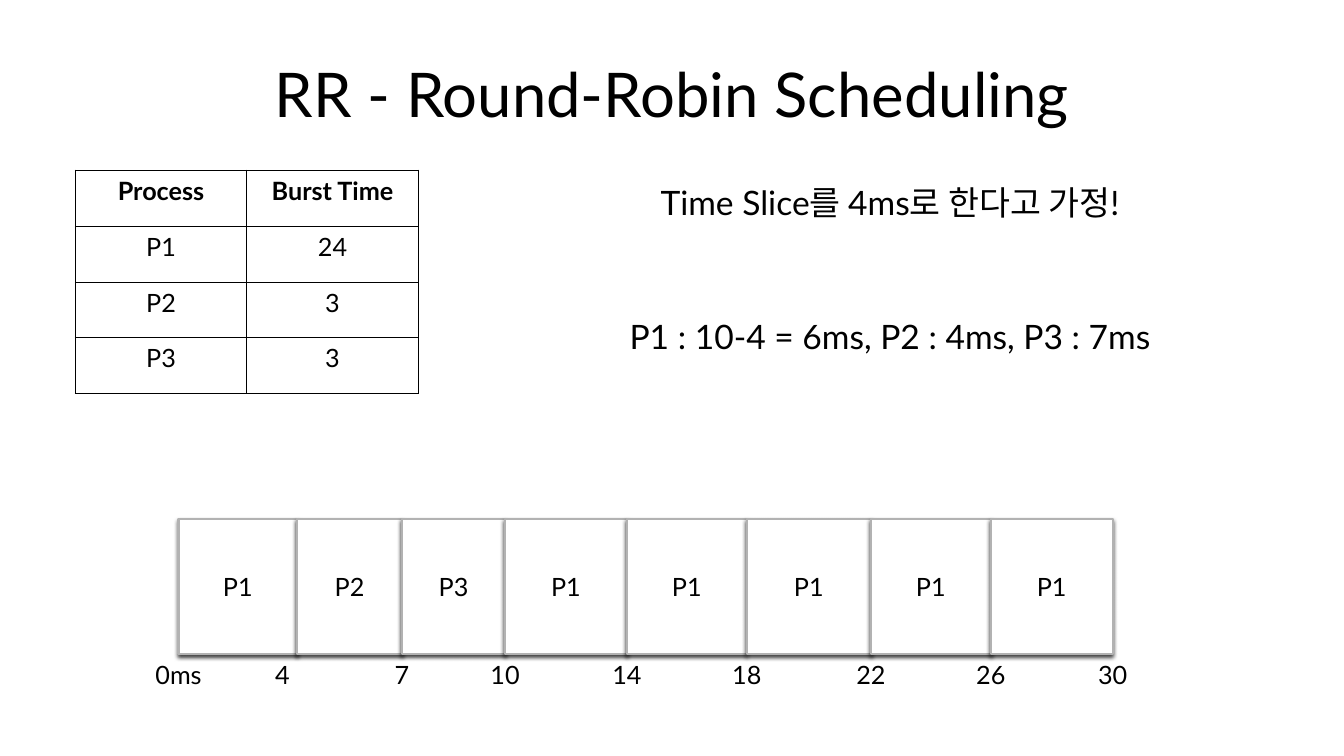
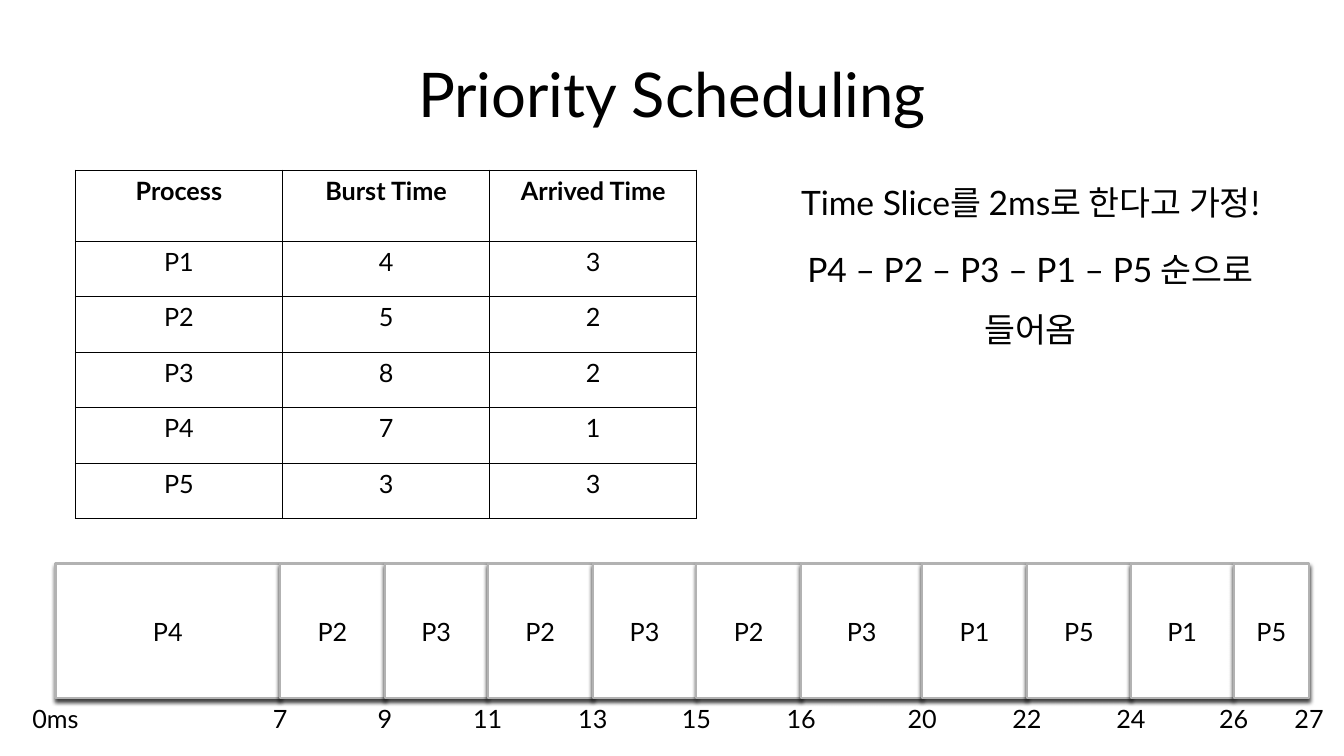
"""Build two slides on CPU scheduling, each with a process table and a timeline."""
from itertools import pairwise

from lxml import etree
from pptx import Presentation
from pptx.dml.color import RGBColor
from pptx.enum.shapes import MSO_SHAPE
from pptx.enum.text import MSO_ANCHOR, PP_ALIGN
from pptx.oxml import parse_xml
from pptx.util import Cm, Pt

RECTANGLE = MSO_SHAPE.RECTANGLE
CENTER = PP_ALIGN.CENTER
MIDDLE = MSO_ANCHOR.MIDDLE
TOP = MSO_ANCHOR.TOP

FONT = "Lato"
BLACK, WHITE, GRAY = "000000", "FFFFFF", "B2B2B2"
DRAWING = "http://schemas.openxmlformats.org/drawingml/2006/main"
SHADOW = (
    f'<a:outerShdw xmlns:a="{DRAWING}" blurRad="38100" dist="25400" dir="5400000" '
    f'rotWithShape="0"><a:srgbClr val="{BLACK}"><a:alpha val="75000"/></a:srgbClr>'
    "</a:outerShdw>"
)
BORDER = (
    '<a:{side} xmlns:a="{drawing}" w="12700"><a:solidFill><a:srgbClr val="{color}"/>'
    "</a:solidFill></a:{side}>"
)
BLOCK_HEIGHT = 3.4
LABEL_WIDTH, LABEL_HEIGHT = 1.7, 1.02

SLIDES = [
    {
        "title": "RR - Round-Robin Scheduling",
        "notes": ["Time Slice를 4ms로 한다고 가정!", "P1 : 10-4 = 6ms, P2 : 4ms, P3 : 7ms"],
        "notes_left": 12.12,
        "notes_width": 20.62,
        "notes_gap": 52.8,
        "rows": [
            ["Process", "Burst Time"],
            ["P1", "24"],
            ["P2", "3"],
            ["P3", "3"],
        ],
        "column_width": 4.32,
        "header_height": 1.42,
        "timeline_top": 13.08,
        "processes": ["P1", "P2", "P3", "P1", "P1", "P1", "P1", "P1"],
        "times": ["0ms", "4", "7", "10", "14", "18", "22", "26", "30"],
        "edges": [4.5, 7.49, 10.13, 12.73, 15.8, 18.82, 21.95, 24.97, 28.04],
        "label_shifts": {"4": -0.37},
    },
    {
        "title": "Priority Scheduling",
        "notes": ["Time Slice를 2ms로 한다고 가정!", "P4 – P2 – P3 – P1 – P5 순으로 들어옴"],
        "notes_left": 19.2,
        "notes_width": 13.54,
        "notes_gap": 4.8,
        "rows": [
            ["Process", "Burst Time", "Arrived Time"],
            ["P1", "4", "3"],
            ["P2", "5", "2"],
            ["P3", "8", "2"],
            ["P4", "7", "1"],
            ["P5", "3", "3"],
        ],
        "column_width": 5.22,
        "header_height": 1.79,
        "timeline_top": 14.2,
        "processes": ["P4", "P2", "P3", "P2", "P3", "P2", "P3", "P1", "P5", "P1", "P5"],
        "times": ["0ms", "7", "9", "11", "13", "15", "16", "20", "22", "24", "26", "27"],
        "edges": [1.4, 7.06, 9.7, 12.29, 14.94, 17.55, 20.19, 23.24, 25.88, 28.5, 31.09, 32.99],
        "label_shifts": {},
    },
]


def rgb(color):
    """Turn a hex string into a colour."""
    return RGBColor.from_string(color)


def write_text(frame, *lines, size=18, bold=False, anchor=MIDDLE, spacing=None, gaps=()):
    """Fill a text frame with centred paragraphs."""
    frame.word_wrap = True
    frame.vertical_anchor = anchor
    for index, line in enumerate(lines):
        paragraph = frame.add_paragraph() if index else frame.paragraphs[0]
        paragraph.alignment = CENTER
        if spacing:
            paragraph.line_spacing = spacing
        if gaps:
            paragraph.space_before = Pt(gaps[index])
        run = paragraph.add_run()
        run.text = line
        run.font.name = FONT
        run.font.size = Pt(size)
        run.font.bold = bold
        run.font.color.rgb = rgb(BLACK)


presentation = Presentation()
presentation.slide_width = Cm(33.87)
presentation.slide_height = Cm(19.05)
title_only = presentation.slide_layouts[5]

for content in SLIDES:
    slide = presentation.slides.add_slide(title_only)
    shapes = slide.shapes
    title = shapes.title
    title.left, title.top, title.width, title.height = Cm(1.7), Cm(0.76), Cm(30.48), Cm(3.18)
    write_text(title.text_frame, content["title"], size=44)

    notes = shapes.add_textbox(
        Cm(content["notes_left"]), Cm(3.94), Cm(content["notes_width"]), Cm(6.5)
    )
    write_text(
        notes.text_frame, *content["notes"], size=24, anchor=TOP,
        spacing=1.5, gaps=(4.8, content["notes_gap"]),
    )

    rows = content["rows"]
    column_count = len(rows[0])
    row_heights = [content["header_height"]] + [1.4] * (len(rows) - 1)
    table = shapes.add_table(
        len(rows), column_count, Cm(1.9), Cm(4.29),
        Cm(content["column_width"] * column_count), Cm(sum(row_heights)),
    ).table
    for column in table.columns:
        column.width = Cm(content["column_width"])
    for row_index, values in enumerate(rows):
        table.rows[row_index].height = Cm(row_heights[row_index])
        for column_index, value in enumerate(values):
            cell = table.cell(row_index, column_index)
            write_text(cell.text_frame, value, bold=row_index == 0, anchor=TOP)
            cell.fill.solid()
            cell.fill.fore_color.rgb = rgb(WHITE)
            properties = cell._tc.get_or_add_tcPr()
            for position, side in enumerate(("lnL", "lnR", "lnT", "lnB")):
                border = BORDER.format(side=side, drawing=DRAWING, color=BLACK)
                properties.insert(position, etree.fromstring(border))

    top = content["timeline_top"]
    edges = content["edges"]
    for process, (left, right) in zip(content["processes"], pairwise(edges)):
        block = shapes.add_shape(RECTANGLE, Cm(left), Cm(top), Cm(right - left), Cm(BLOCK_HEIGHT))
        block.fill.solid()
        block.fill.fore_color.rgb = rgb(WHITE)
        block.line.color.rgb = rgb(GRAY)
        block.line.width = Pt(1.5)
        block.shadow.inherit = False
        block._element.spPr.find(f"{{{DRAWING}}}effectLst").append(parse_xml(SHADOW))
        write_text(block.text_frame, process)

    for time, edge in zip(content["times"], edges):
        center = edge + content["label_shifts"].get(time, 0)
        label = shapes.add_textbox(
            Cm(center - LABEL_WIDTH / 2), Cm(top + BLOCK_HEIGHT), Cm(LABEL_WIDTH), Cm(LABEL_HEIGHT)
        )
        label.text_frame.margin_left = label.text_frame.margin_right = 0
        write_text(label.text_frame, time, anchor=TOP)

presentation.save("out.pptx")
